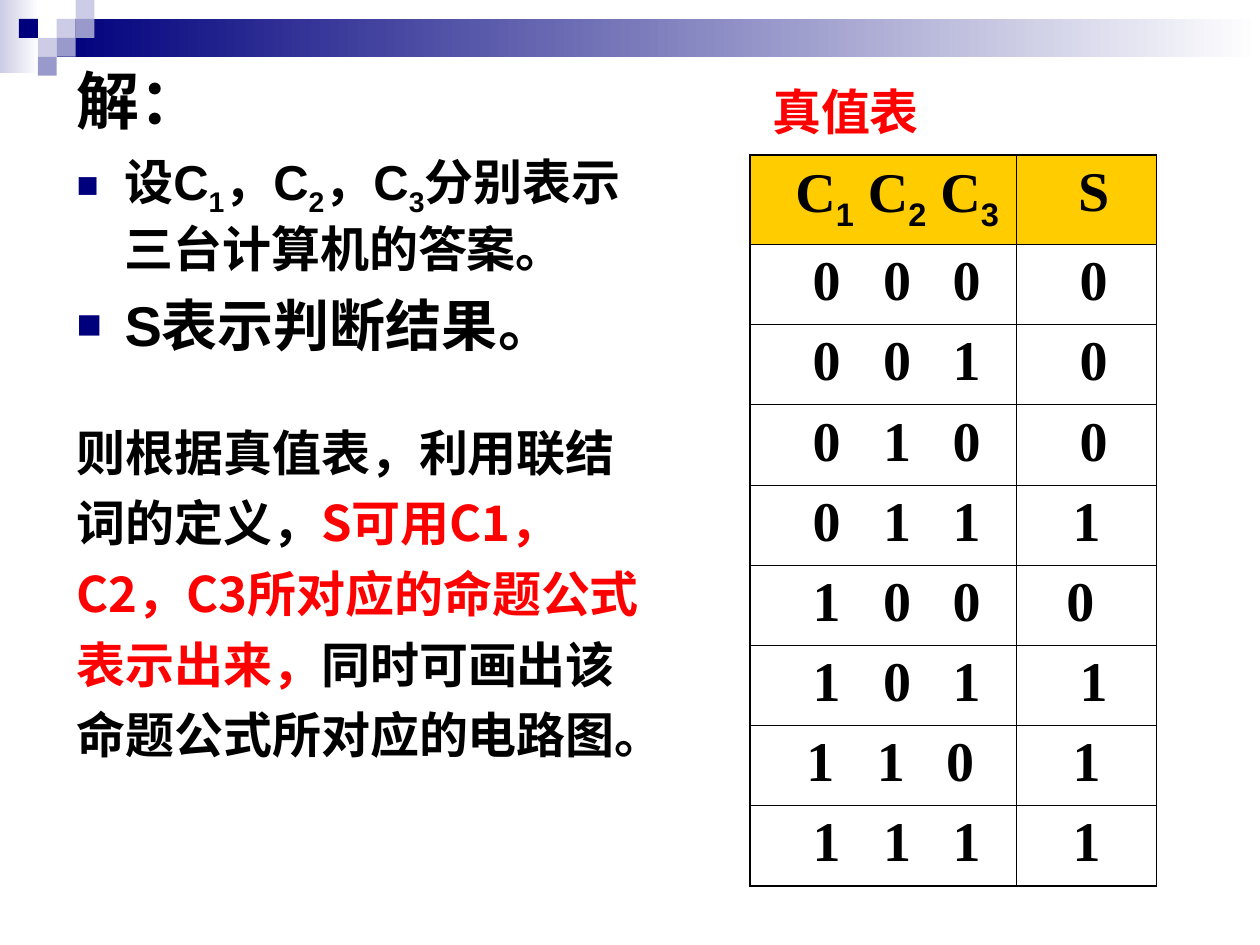
from itertools import product

from lxml import etree
from pptx import Presentation
from pptx.dml.color import RGBColor
from pptx.enum.shapes import MSO_SHAPE
from pptx.enum.text import MSO_ANCHOR, PP_ALIGN
from pptx.oxml.ns import qn
from pptx.util import Inches, Pt

RECT = MSO_SHAPE.RECTANGLE
TOP, MIDDLE = MSO_ANCHOR.TOP, MSO_ANCHOR.MIDDLE
LEFT, CENTER = PP_ALIGN.LEFT, PP_ALIGN.CENTER

BLACK = RGBColor(0, 0, 0)
WHITE = RGBColor(255, 255, 255)
RED = RGBColor(255, 0, 0)
GOLD = RGBColor(0xFF, 0xCC, 0)
NAVY = RGBColor(0, 0, 0x7D)
LILAC = RGBColor(0xCC, 0xCC, 0xE6)
MAUVE = RGBColor(0x99, 0x99, 0xCC)

SANS, SERIF, HAN = "Arial", "Times New Roman", "Noto Sans CJK SC"


def add_run(para, text, size=28, font=SANS, color=BLACK, sub=False):
    run = para.add_run()
    run.text = text
    run.font.size, run.font.bold = Pt(size), True
    run.font.name, run.font.color.rgb = font, color
    props = run.font._element
    etree.SubElement(props, qn("a:ea")).set("typeface", HAN)
    if sub:
        props.set("baseline", "-25000")


def add_vars(para, parts, font=SANS, **fmt):
    """Write parts in turn; every second one is a subscript."""
    for i, part in enumerate(parts):
        sub = i % 2 == 1
        add_run(para, part, font=SANS if sub else font, sub=sub, **fmt)


def add_box(slide, box, wrap=True, anchor=TOP):
    frame = slide.shapes.add_textbox(*map(Inches, box)).text_frame
    frame.word_wrap, frame.vertical_anchor = wrap, anchor
    return frame


def add_bullet(para):
    props = para._p.get_or_add_pPr()
    props.set("marL", str(Inches(0.38)))
    props.set("indent", str(-Inches(0.38)))
    # Keep the closing mark inside the box
    props.set("hangingPunct", "0")
    tint = etree.SubElement(props, qn("a:buClr"))
    etree.SubElement(tint, qn("a:srgbClr")).set("val", str(NAVY))
    etree.SubElement(props, qn("a:buSzPct")).set("val", "75000")
    etree.SubElement(props, qn("a:buFont")).set("typeface", SANS)
    etree.SubElement(props, qn("a:buChar")).set("char", "■")


def add_tabs(para, stops):
    tabs = etree.SubElement(para._p.get_or_add_pPr(), qn("a:tabLst"))
    for stop in stops:
        tab = etree.SubElement(tabs, qn("a:tab"))
        tab.set("pos", str(Inches(stop)))
        tab.set("algn", "l")


def add_rect(slide, box, color, fade=False):
    shape = slide.shapes.add_shape(RECT, *map(Inches, box))
    shape.shadow.inherit = False
    shape.line.fill.background()
    if fade:
        shape.fill.gradient()
        shape.fill.gradient_angle = 0
        for stop, tone in zip(shape.fill.gradient_stops, (color, WHITE)):
            stop.color.rgb = tone
    else:
        shape.fill.solid()
        shape.fill.fore_color.rgb = color


def add_banner(slide, box):
    left, top, width, height = box
    unit = 0.15
    add_rect(slide, (left, top, 0.31, height), LILAC, fade=True)
    add_rect(slide, (left + 3 * unit, top + unit, width - 3 * unit, 2 * unit),
             NAVY, fade=True)
    # Mosaic of small squares: column, row, colour
    for col, row, color in ((3, 1, LILAC), (4, 0, LILAC), (4, 1, MAUVE),
                            (2, 2, LILAC), (1, 1, NAVY), (3, 2, MAUVE),
                            (2, 3, MAUVE)):
        add_rect(slide, (left + col * unit, top + row * unit, unit, unit),
                 color)


def add_body(slide, box):
    frame = add_box(slide, box)
    para = frame.paragraphs[0]
    add_bullet(para)
    add_vars(para, ("设C", "1", "，C", "2", "，C", "3",
                    "分别表示三台计算机的答案。"))
    para = frame.add_paragraph()
    add_bullet(para)
    para.space_before = Pt(8)
    add_run(para, "S表示判断结果。", size=32)


def add_plan(slide, box):
    para = add_box(slide, box).paragraphs[0]
    para.line_spacing = 1.2
    for text, color in (
            ("则根据真值表，利用联结词的定义，", BLACK),
            ("S可用C1，C2，C3所对应的命题公式表示出来，", RED),
            ("同时可画出该命题公式所对应的电路图。", BLACK)):
        add_run(para, text, font=HAN, color=color)


def set_cell(cell, fill, edges, align, inset):
    """Format a cell; edges are line widths at left, right, top, bottom."""
    cell.margin_left = Inches(inset)
    cell.fill.solid()
    cell.fill.fore_color.rgb = fill
    props = cell._tc.get_or_add_tcPr()
    for i, (side, width) in enumerate(zip("LRTB", edges)):
        line = etree.Element(qn("a:ln" + side))
        line.set("w", str(Pt(width)))
        solid = etree.SubElement(line, qn("a:solidFill"))
        etree.SubElement(solid, qn("a:srgbClr")).set("val", str(BLACK))
        props.insert(i, line)
    para = cell.text_frame.paragraphs[0]
    para.alignment = align
    return para


def add_truth(slide, box):
    results = "00010111"
    insets = (0.21, 0.21, 0.21, 0.1, 0, 0.21, 0.1, 0.1)
    last = len(results)
    table = slide.shapes.add_table(last + 1, 2, *map(Inches, box)).table
    table.first_row = table.horz_banding = False
    for col, width in zip(table.columns, (2.12, 1.11)):
        col.width = Inches(width)
    top = 0.71
    for i, row in enumerate(table.rows):
        row.height = Inches((box[3] - top) / last if i else top)

    def place(row, col, fill, align, inset):
        outer = (col == 0, col == 1, row == 0, row == last)
        edges = [1.08 if edge else 0.45 for edge in outer]
        return set_cell(table.cell(row, col), fill, edges, align, inset)

    # Header
    add_vars(place(0, 0, GOLD, CENTER, 0.32),
             ("C", "1", " C", "2", " C", "3"), font=SERIF, size=32)
    add_run(place(0, 1, GOLD, CENTER, 0.21), "S", size=32, font=SERIF)
    # All inputs in counting order, each with its result
    rows = zip(product("01", repeat=3), results, insets)
    for i, (bits, result, inset) in enumerate(rows, 1):
        para = place(i, 0, WHITE, LEFT, 0.45 if i == 7 else 0.5)
        add_tabs(para, (0.56, 1.11))
        add_run(para, "\t".join(bits), size=32, font=SERIF)
        add_run(place(i, 1, WHITE, CENTER, inset), result, size=32,
                font=SERIF)


def main():
    prs = Presentation()
    prs.slide_width, prs.slide_height = Inches(10), Inches(7.5)
    slide = prs.slides.add_slide(prs.slide_layouts[6])
    add_banner(slide, (0, 0, 10, 0.58))
    # Heading
    head = add_box(slide, (0.51, 0.21, 9, 1.15), anchor=MIDDLE)
    add_run(head.paragraphs[0], "解：", size=36)
    add_body(slide, (0.51, 1.15, 4.58, 1.88))
    add_truth(slide, (5.95, 1.23, 3.23, 5.8))
    # Table caption
    label = add_box(slide, (6.03, 0.6, 1.5, 0.57))
    add_run(label.paragraphs[0], "真值表", font=HAN, color=RED)
    add_plan(slide, (0.51, 3.21, 4.8, 3.46))
    prs.save("out.pptx")


if __name__ == "__main__":
    main()
